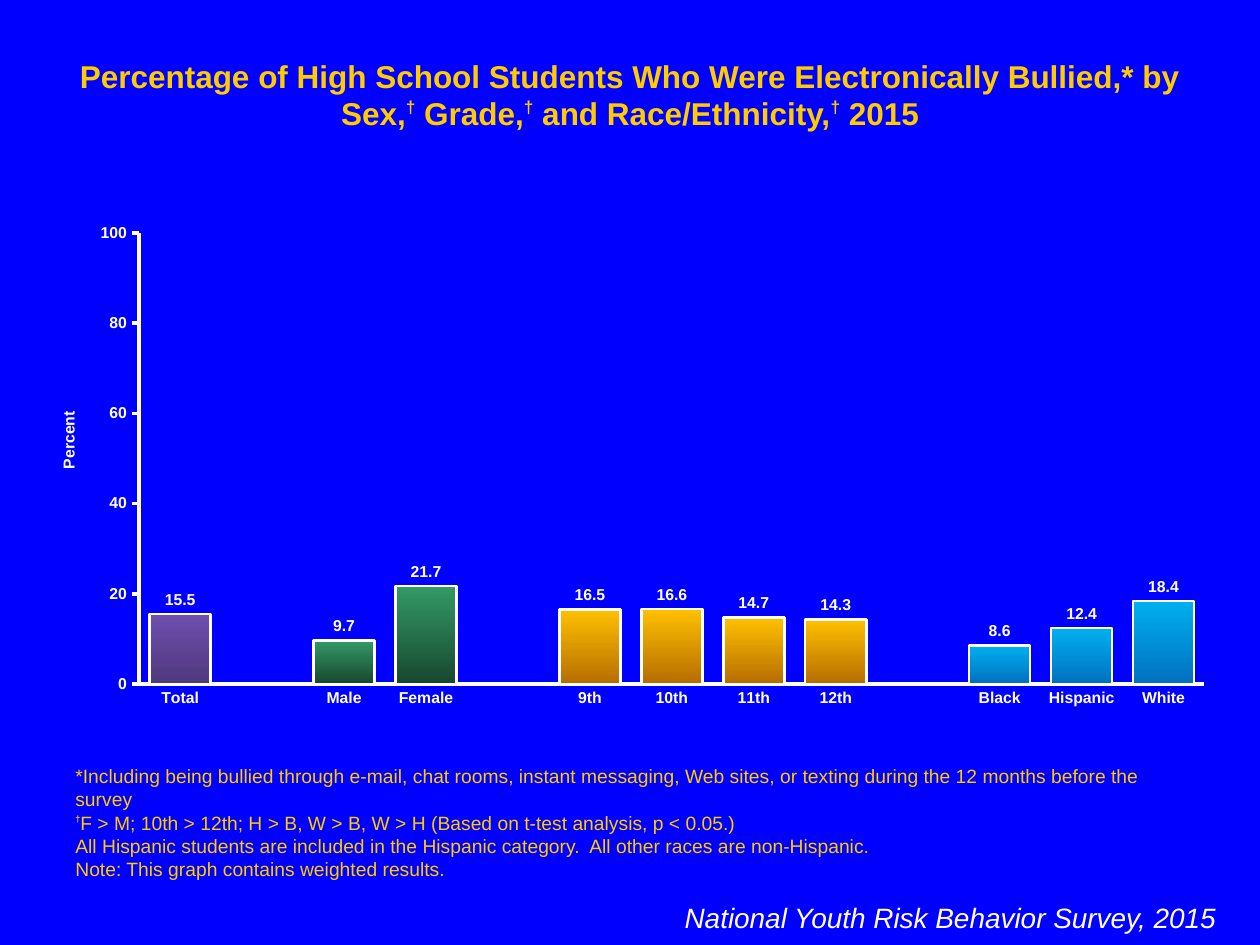
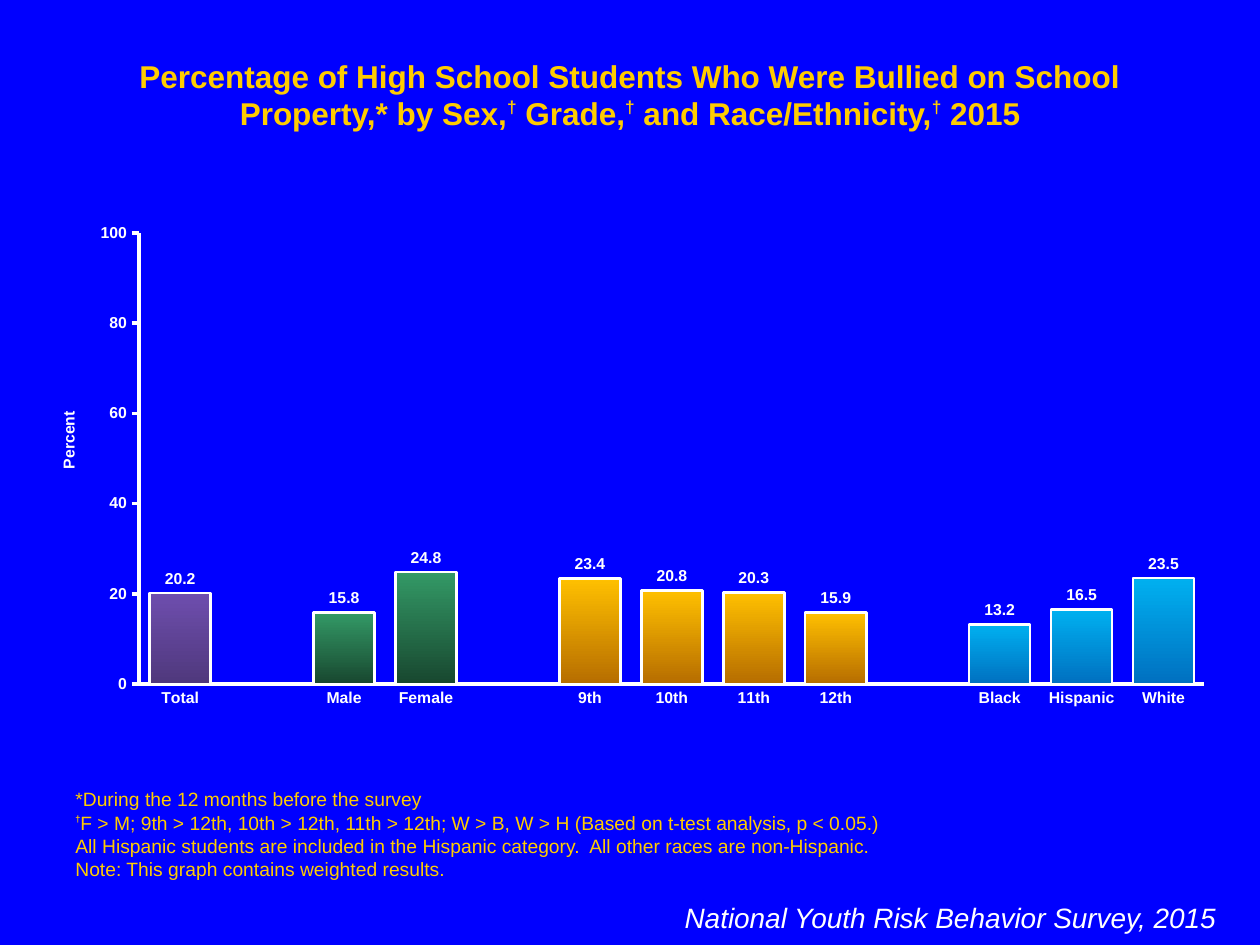
from dataclasses import dataclass

from lxml import etree
from pptx import Presentation
from pptx.chart.chart import Chart
from pptx.chart.data import CategoryChartData
from pptx.dml.color import RGBColor
from pptx.enum.chart import XL_CHART_TYPE, XL_LABEL_POSITION, XL_TICK_MARK
from pptx.enum.text import MSO_ANCHOR, MSO_AUTO_SIZE, PP_ALIGN
from pptx.oxml.ns import qn
from pptx.slide import Slide
from pptx.util import Inches, Pt

COLUMNS = XL_CHART_TYPE.COLUMN_CLUSTERED
ABOVE_BAR = XL_LABEL_POSITION.OUTSIDE_END
TICK_NONE, TICK_OUT = XL_TICK_MARK.NONE, XL_TICK_MARK.OUTSIDE
TOP, BOTTOM = MSO_ANCHOR.TOP, MSO_ANCHOR.BOTTOM
LEFT, CENTER, RIGHT = PP_ALIGN.LEFT, PP_ALIGN.CENTER, PP_ALIGN.RIGHT
GROW = MSO_AUTO_SIZE.SHAPE_TO_FIT_TEXT

FONT = "Arial"
BLUE = RGBColor(0x00, 0x00, 0xFF)
GOLD = RGBColor(0xFF, 0xCC, 0x00)
WHITE = RGBColor(0xFF, 0xFF, 0xFF)
SERIES_GREEN = RGBColor(0x26, 0xCA, 0x59)

# The slide is a grid of 40 columns and 30 rows
WIDTH, HEIGHT = Inches(10), Inches(7.5)
COLUMN, ROW = WIDTH / 40, HEIGHT / 30


@dataclass(frozen=True)
class Area:
    """A place on the grid, in columns and rows."""
    column: float
    row: float
    columns: float
    rows: float

    def box(self) -> tuple[int, int, int, int]:
        return (round(self.column * COLUMN), round(self.row * ROW),
                round(self.columns * COLUMN), round(self.rows * ROW))


@dataclass(frozen=True)
class Group:
    """Neighbouring bars that share one gradient."""
    labels: tuple[str, ...]
    top: RGBColor
    bottom: RGBColor


@dataclass(frozen=True)
class Dagger:
    """Format of the raised dagger within a text."""
    size: float
    baseline: int
    bold: bool = True


@dataclass(frozen=True)
class SurveyPage:
    title: str
    values: tuple[tuple[float, ...], ...]
    remarks: tuple[str, ...]
    remarks_row: float


TITLE_AREA = Area(2, 1.6, 36, 1.6)
CHART_AREA = Area(1, 6.76, 38, 15.92)
FOOTER_AREA = Area(17, 28.4, 22, 1.6)
REMARKS_BOTTOM_ROW = 28.14
PLOT_LAYOUT = {"x": 0.09, "y": 0.04, "w": 0.89, "h": 0.9}
AXIS_TITLE_LAYOUT = {"x": 0.02, "y": 0.39}

TITLE_DAGGER = Dagger(17, 40000)
REMARK_DAGGER = Dagger(9, 50000)

GROUPS = (
    Group(("Total",), RGBColor(0x6E, 0x4E, 0xAE), RGBColor(0x4F, 0x38, 0x7C)),
    Group(("Male", "Female"),
          RGBColor(0x33, 0x99, 0x66), RGBColor(0x18, 0x47, 0x2F)),
    Group(("9th", "10th", "11th", "12th"),
          RGBColor(0xFF, 0xC0, 0x00), RGBColor(0xB6, 0x6D, 0x00)),
    Group(("Black", "Hispanic", "White"),
          RGBColor(0x00, 0xB0, 0xF0), RGBColor(0x00, 0x70, 0xC0)),
)

FOOTER = "National Youth Risk Behavior Survey, 2015"
COMMON_REMARKS = (
    "All Hispanic students are included in the Hispanic category.  "
    "All other races are non-Hispanic.",
    "Note: This graph contains weighted results.",
)

PAGES = (
    SurveyPage(
        "Percentage of High School Students Who Were Electronically Bullied,* "
        "by Sex,† Grade,† and Race/Ethnicity,† 2015",
        ((15.5,), (9.7, 21.7), (16.5, 16.6, 14.7, 14.3), (8.6, 12.4, 18.4)),
        ("*Including being bullied through e-mail, chat rooms, instant "
         "messaging, Web sites, or texting during the 12 months before the "
         "survey",
         "†F > M; 10th > 12th; H > B, W > B, W > H "
         "(Based on t-test analysis, p < 0.05.)"),
        24),
    SurveyPage(
        "Percentage of High School Students Who Were Bullied on School "
        "Property,* by Sex,† Grade,† and Race/Ethnicity,† 2015",
        ((20.2,), (15.8, 24.8), (23.4, 20.8, 20.3, 15.9), (13.2, 16.5, 23.5)),
        ("*During the 12 months before the survey",
         "†F > M; 9th > 12th, 10th > 12th, 11th > 12th; W > B, W > H "
         "(Based on t-test analysis, p < 0.05.)"),
        27),
)


def split_daggers(text: str) -> list[str]:
    return [piece for piece in text.replace("†", "\n†\n").split("\n") if piece]


def style_font(font, size: float, color: RGBColor = WHITE,
               bold: bool = False, italic: bool = False) -> None:
    font.name, font.size = FONT, Pt(size)
    font.bold, font.italic = bold, italic
    font.color.rgb = color


def add_text(slide: Slide, area: Area, *lines: str, size: float,
             color: RGBColor = GOLD, bold: bool = False, italic: bool = False,
             align: PP_ALIGN = LEFT, anchor: MSO_ANCHOR = TOP,
             dagger: Dagger | None = None) -> None:
    frame = slide.shapes.add_textbox(*area.box()).text_frame
    frame.word_wrap, frame.auto_size = True, GROW
    frame.vertical_anchor = anchor
    for index, line in enumerate(lines):
        para = frame.add_paragraph() if index else frame.paragraphs[0]
        para.alignment = align
        for piece in split_daggers(line):
            span = para.add_run()
            span.text = piece
            if dagger and piece == "†":
                style_font(span.font, dagger.size, color, dagger.bold, italic)
                span.font._element.set("baseline", str(dagger.baseline))
            else:
                style_font(span.font, size, color, bold, italic)


def set_layout(element, shares: dict[str, float], inner: bool = False) -> None:
    """Place a plot or an axis title by shares of the chart's size."""
    for old in element.findall(qn("c:layout")):
        element.remove(old)
    layout = etree.Element(qn("c:layout"))
    manual = etree.SubElement(layout, qn("c:manualLayout"))
    if inner:
        etree.SubElement(manual, qn("c:layoutTarget"), val="inner")
    for name in ("x", "y"):
        etree.SubElement(manual, qn(f"c:{name}Mode"), val="edge")
    for name, share in shares.items():
        etree.SubElement(manual, qn(f"c:{name}"), val=str(share))
    text = element.find(qn("c:tx"))
    element.insert(0 if text is None else element.index(text) + 1, layout)


def style_axes(chart: Chart) -> None:
    for axis, tick in ((chart.category_axis, TICK_NONE),
                       (chart.value_axis, TICK_OUT)):
        axis.has_major_gridlines = False
        axis.major_tick_mark, axis.minor_tick_mark = tick, TICK_NONE
        style_font(axis.tick_labels.font, 9, bold=True)
        axis.format.line.color.rgb = WHITE
        axis.format.line.width = Pt(2)
    percent = chart.value_axis
    percent.minimum_scale, percent.maximum_scale = 0, 100
    percent.major_unit = 20
    percent.tick_labels.number_format = "General"
    percent.tick_labels.number_format_is_linked = False
    span = percent.axis_title.text_frame.paragraphs[0].add_run()
    span.text = "Percent"
    style_font(span.font, 9, bold=True)
    set_layout(percent.axis_title._element, AXIS_TITLE_LAYOUT)


def color_bars(series) -> None:
    series.format.fill.solid()
    series.format.fill.fore_color.rgb = SERIES_GREEN
    position = 0
    for group in GROUPS:
        for _ in group.labels:
            look = series.points[position].format
            look.fill.gradient()
            look.fill.gradient_angle = 270
            first, last = look.fill.gradient_stops
            first.color.rgb, last.color.rgb = group.top, group.bottom
            first.position, last.position = 0, 1
            look.line.color.rgb = WHITE
            look.line.width = Pt(1.5)
            position += 1
        position += 1  # empty category between groups


def add_bar_chart(slide: Slide,
                  values: tuple[tuple[float, ...], ...]) -> None:
    labels: list[str] = []
    heights: list[float | None] = []
    for group, numbers in zip(GROUPS, values):
        if labels:
            labels.append("")
            heights.append(None)
        labels.extend(group.labels)
        heights.extend(numbers)
    data = CategoryChartData()
    data.categories = labels
    data.add_series("Series 1", heights)
    chart = slide.shapes.add_chart(COLUMNS, *CHART_AREA.box(), data).chart
    chart.has_title = chart.has_legend = False
    style_font(chart.font, 18)
    style_axes(chart)

    plot = chart.plots[0]
    plot.vary_by_categories = False
    plot.gap_width, plot.overlap = 34, 100
    color_bars(plot.series[0])
    tags = plot.series[0].data_labels
    tags.show_value, tags.position = True, ABOVE_BAR
    tags.number_format, tags.number_format_is_linked = "#,##0.0", False
    style_font(tags.font, 9, bold=True)
    plot_area = chart._chartSpace.find(f".//{qn('c:plotArea')}")
    set_layout(plot_area, PLOT_LAYOUT, inner=True)


def add_page(deck, page: SurveyPage) -> None:
    slide = deck.slides.add_slide(deck.slide_layouts[6])
    add_text(slide, TITLE_AREA, page.title, size=18, bold=True,
             align=CENTER, dagger=TITLE_DAGGER)
    remarks_area = Area(2, page.remarks_row, 36,
                        REMARKS_BOTTOM_ROW - page.remarks_row)
    add_text(slide, remarks_area, *page.remarks, *COMMON_REMARKS, size=11,
             anchor=BOTTOM, dagger=REMARK_DAGGER)
    add_text(slide, FOOTER_AREA, FOOTER, size=16, color=WHITE, italic=True,
             align=RIGHT)
    add_bar_chart(slide, page.values)


def main() -> None:
    deck = Presentation()
    deck.slide_width, deck.slide_height = WIDTH, HEIGHT
    backdrop = deck.slide_master.background.fill
    backdrop.solid()
    backdrop.fore_color.rgb = BLUE
    for page in PAGES:
        add_page(deck, page)
    deck.save("out.pptx")


if __name__ == "__main__":
    main()
